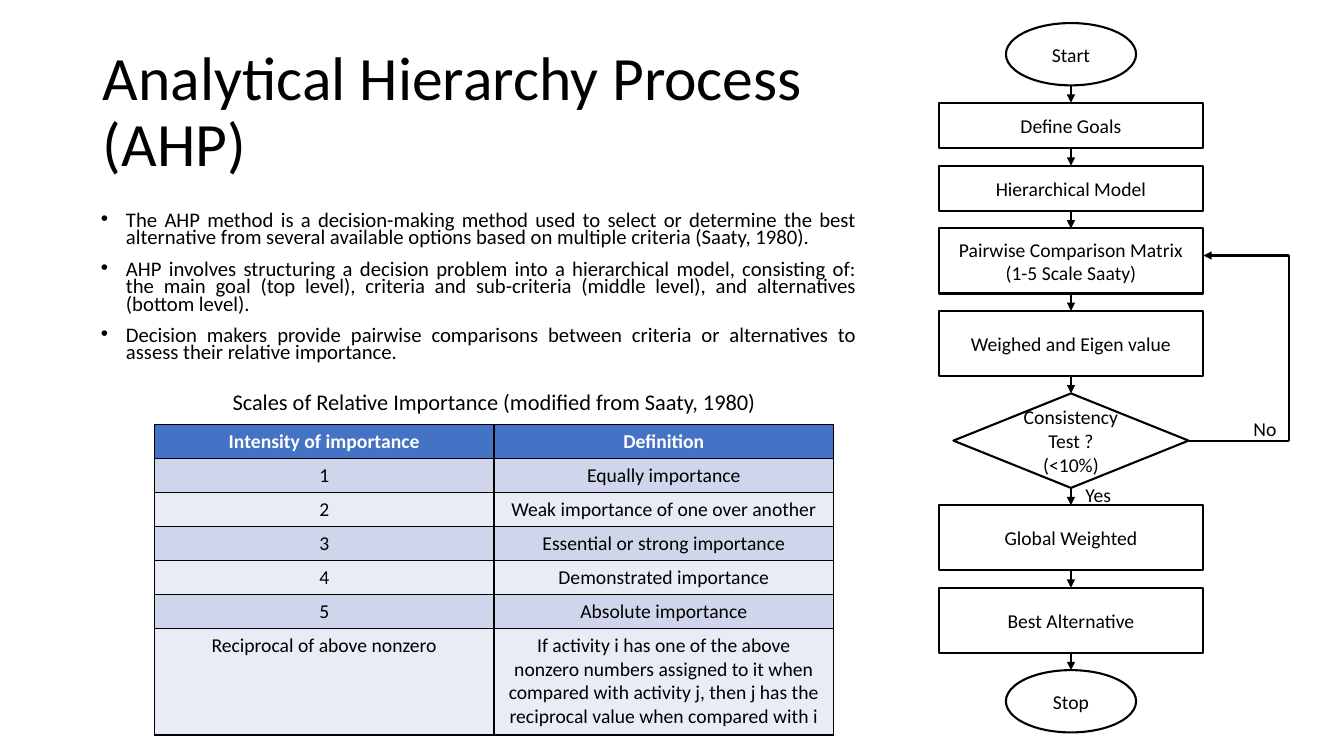
from itertools import pairwise

from lxml.etree import SubElement
from pptx import Presentation
from pptx.dml.color import RGBColor
from pptx.enum.shapes import MSO_CONNECTOR, MSO_SHAPE
from pptx.enum.text import MSO_ANCHOR, MSO_AUTO_SIZE, PP_ALIGN
from pptx.oxml.ns import qn
from pptx.util import Pt

COLORS = {
    "ink": "000000",
    "header": "4472C4",
    "header_text": "FFFFFF",
    "odd_row": "CFD5EA",
    "even_row": "E9EBF5",
}
FONT = "Calibri"
TITLE = "Analytical Hierarchy Process (AHP)"
POINTS = [
    "The AHP method is a decision-making method used to select or determine the best "
    "alternative from several available options based on multiple criteria (Saaty, 1980).",
    "AHP involves structuring a decision problem into a hierarchical model, consisting of: "
    "the main goal (top level), criteria and sub-criteria (middle level), and alternatives "
    "(bottom level).",
    "Decision makers provide pairwise comparisons between criteria or alternatives to "
    "assess their relative importance.",
]
CAPTION = "Scales of Relative Importance (modified from Saaty, 1980)"
SCALE = [
    ("Intensity of importance", "Definition"),
    ("1", "Equally importance"),
    ("2", "Weak importance of one over another"),
    ("3", "Essential or strong importance"),
    ("4", "Demonstrated importance"),
    ("5", "Absolute importance"),
    ("Reciprocal of above nonzero",
     "If activity i has one of the above nonzero numbers assigned to it when compared "
     "with activity j, then j has the reciprocal value when compared with i"),
]
TERMINAL = (MSO_SHAPE.OVAL, 93, 44.5)
SHORT_STEP = (MSO_SHAPE.RECTANGLE, 189, 32.5)
TALL_STEP = (MSO_SHAPE.RECTANGLE, 189, 46.5)
DECISION = (MSO_SHAPE.DIAMOND, 168, 67.5)
STEPS = [
    ("Start", TERMINAL),
    ("Define Goals", SHORT_STEP),
    ("Hierarchical Model", SHORT_STEP),
    ("Pairwise Comparison Matrix (1-5 Scale Saaty)", TALL_STEP),
    ("Weighed and Eigen value", TALL_STEP),
    ("Consistency Test ? (<10%)", DECISION),
    ("Global Weighted", TALL_STEP),
    ("Best Alternative", TALL_STEP),
    ("Stop", TERMINAL),
]
FLOW_AXIS, FLOW_TOP, FLOW_GAP = 765, 16.5, 12.4
LOOP_X, LOOP_Y = 921, 182.5


def color(name):
    return RGBColor.from_string(COLORS[name])


def add_run(paragraph, text, size, ink="ink", bold=False):
    run = paragraph.add_run()
    run.text = text
    run.font.name = FONT
    run.font.size = Pt(size)
    run.font.bold = bold
    run.font.color.rgb = color(ink)


def place(shape, left, top, width, height):
    shape.left, shape.top = Pt(left), Pt(top)
    shape.width, shape.height = Pt(width), Pt(height)


def fill_title(title):
    place(title, 66.2, 28.8, 591, 104.4)
    title.text_frame.auto_size = MSO_AUTO_SIZE.NONE
    title.text_frame.vertical_anchor = MSO_ANCHOR.MIDDLE
    paragraph = title.text_frame.paragraphs[0]
    paragraph.alignment = PP_ALIGN.LEFT
    paragraph.line_spacing = 0.9
    add_run(paragraph, TITLE, 44)


def fill_body(body):
    place(body, 64.8, 149, 553.7, 126)
    frame = body.text_frame
    frame.auto_size = MSO_AUTO_SIZE.NONE
    for index, text in enumerate(POINTS):
        paragraph = frame.add_paragraph() if index else frame.paragraphs[0]
        properties = paragraph._p.get_or_add_pPr()
        properties.set("marL", str(Pt(18)))
        properties.set("indent", str(Pt(-18)))
        SubElement(properties, qn("a:buFont")).set("typeface", "Arial")
        SubElement(properties, qn("a:buChar")).set("char", "•")
        paragraph.alignment = PP_ALIGN.JUSTIFY
        paragraph.line_spacing = 0.7
        paragraph.space_before = Pt(10 if index else 0)
        add_run(paragraph, text, 14.8)


def add_label(slide, text, left, top, width, height, size):
    box = slide.shapes.add_textbox(Pt(left), Pt(top), Pt(width), Pt(height))
    frame = box.text_frame
    frame.word_wrap = True
    frame.vertical_anchor = MSO_ANCHOR.MIDDLE
    frame.margin_top = frame.margin_bottom = 0
    paragraph = frame.paragraphs[0]
    paragraph.alignment = PP_ALIGN.CENTER
    add_run(paragraph, text, size)


def set_borders(cell):
    properties = cell._tc.get_or_add_tcPr()
    for position, side in enumerate(("lnL", "lnR", "lnT", "lnB")):
        line = properties.makeelement(qn(f"a:{side}"), {"w": str(Pt(1))})
        fill = SubElement(line, qn("a:solidFill"))
        SubElement(fill, qn("a:srgbClr")).set("val", COLORS["ink"])
        properties.insert(position, line)


def add_scale_table(slide):
    frame = slide.shapes.add_table(len(SCALE), 2, Pt(110.3), Pt(303.2), Pt(485.2), Pt(222))
    table = frame.table
    for index, texts in enumerate(SCALE):
        table.rows[index].height = Pt(76 if index == len(SCALE) - 1 else 24.3)
        band = "header" if index == 0 else "odd_row" if index % 2 else "even_row"
        ink = "ink" if index else "header_text"
        for cell, text in zip(table.rows[index].cells, texts):
            cell.fill.solid()
            cell.fill.fore_color.rgb = color(band)
            set_borders(cell)
            paragraph = cell.text_frame.paragraphs[0]
            paragraph.alignment = PP_ALIGN.CENTER
            add_run(paragraph, text, 14, ink, index == 0)


def add_step(slide, text, kind, top):
    preset, width, height = kind
    shape = slide.shapes.add_shape(
        preset, Pt(FLOW_AXIS - width / 2), Pt(top), Pt(width), Pt(height))
    shape.shadow.inherit = False
    shape.fill.background()
    shape.line.color.rgb = color("ink")
    shape.line.width = Pt(1.5)
    frame = shape.text_frame
    frame.word_wrap = True
    frame.vertical_anchor = MSO_ANCHOR.MIDDLE
    paragraph = frame.paragraphs[0]
    paragraph.alignment = PP_ALIGN.CENTER
    add_run(paragraph, text, 14)
    return shape


def add_line(slide, start, end, arrow=False):
    line = slide.shapes.add_connector(
        MSO_CONNECTOR.STRAIGHT, *(Pt(value) for value in (*start, *end)))
    line.line.color.rgb = color("ink")
    line.line.width = Pt(1.5)
    if arrow:
        SubElement(line.line._get_or_add_ln(), qn("a:tailEnd")).set("type", "triangle")
    SubElement(line._element.spPr, qn("a:effectLst"))
    return line


def add_flowchart(slide):
    steps, top = [], FLOW_TOP
    for text, kind in STEPS:
        steps.append(add_step(slide, text, kind, top))
        top += kind[2] + FLOW_GAP

    for upper, lower in pairwise(steps):
        bottom = (upper.top + upper.height).pt if hasattr(upper.top + upper.height, "pt") \
            else (upper.top + upper.height) / Pt(1)
        arrow = add_line(slide, (FLOW_AXIS, bottom), (FLOW_AXIS, lower.top.pt), True)
        if upper.auto_shape_type != MSO_SHAPE.OVAL:
            arrow.begin_connect(upper, 2)
        if lower.auto_shape_type != MSO_SHAPE.OVAL:
            arrow.end_connect(lower, 0)

    matrix, decision = steps[3], steps[5]
    decision_y = decision.top.pt + decision.height.pt / 2
    decision_right = decision.left.pt + decision.width.pt
    matrix_right = matrix.left.pt + matrix.width.pt
    exit_line = add_line(slide, (decision_right, decision_y), (LOOP_X, decision_y))
    exit_line.begin_connect(decision, 3)
    add_line(slide, (LOOP_X, decision_y), (LOOP_X, LOOP_Y))
    add_line(slide, (LOOP_X, LOOP_Y), (matrix_right, LOOP_Y), True)
    add_label(slide, "Yes", 766, 345, 37, 16, 14)
    add_label(slide, "No", 885, 298, 37, 16, 14)


def main():
    presentation = Presentation()
    presentation.slide_width, presentation.slide_height = Pt(960), Pt(540)
    slide = presentation.slides.add_slide(presentation.slide_layouts[1])
    fill_title(slide.shapes.title)
    fill_body(slide.placeholders[1])
    add_scale_table(slide)
    add_label(slide, CAPTION, 110.3, 270, 485.2, 33.5, 16)
    add_flowchart(slide)
    presentation.save("out.pptx")


if __name__ == "__main__":
    main()
